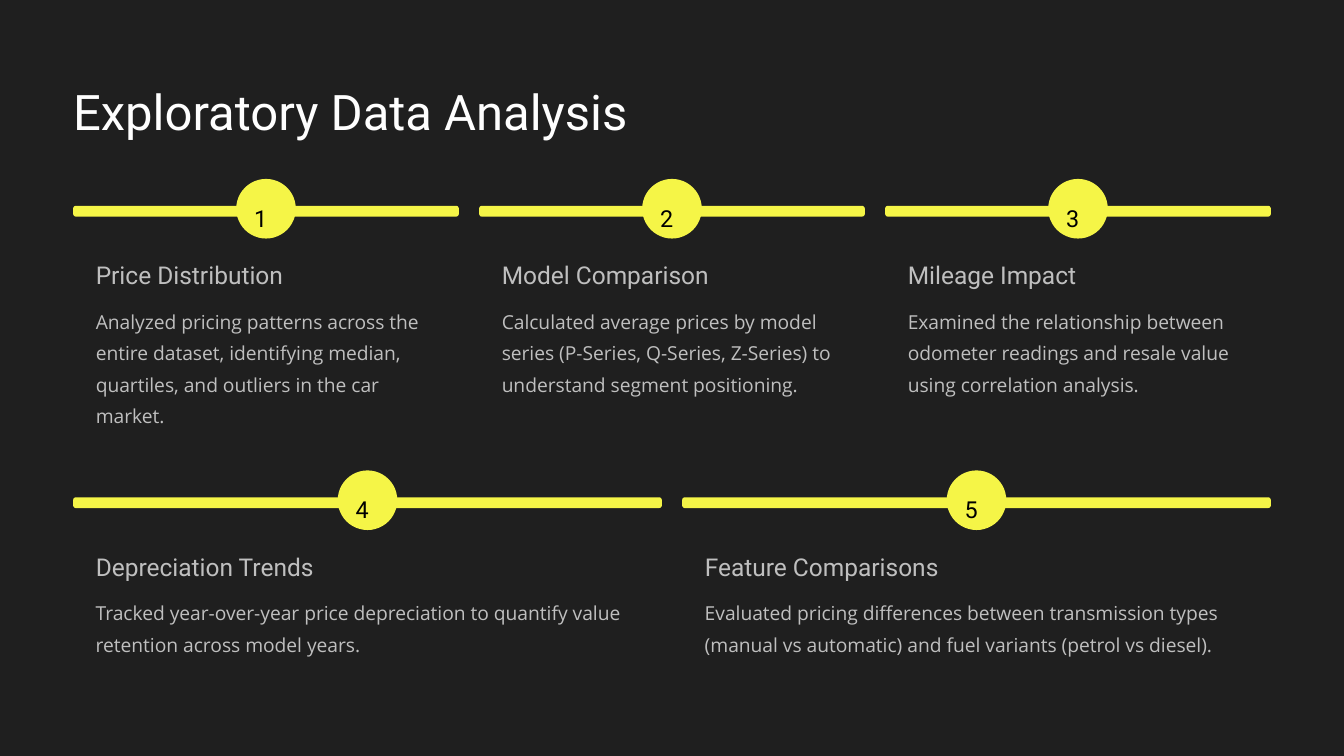
from pptx import Presentation
from pptx.dml.color import RGBColor
from pptx.enum.shapes import MSO_SHAPE
from pptx.enum.text import MSO_ANCHOR, MSO_AUTO_SIZE, PP_ALIGN
from pptx.util import Inches, Pt

OVAL = MSO_SHAPE.OVAL
ROUNDED = MSO_SHAPE.ROUNDED_RECTANGLE
TOP = MSO_ANCHOR.TOP
NO_FIT = MSO_AUTO_SIZE.NONE
LEFT = PP_ALIGN.LEFT

COLORS = {
    "background": "1F1F1F",
    "title": "FEFEFE",
    "accent": "F5F547",
    "number": "000000",
    "text": "BFBFBF",
}
ROW_LEFT, ROW_WIDTH, GAP = 0.87, 14.26, 0.24
BAR_HEIGHT, CIRCLE, INDENT = 0.13, 0.71, 0.27
NUMBER_WIDTH = 0.28
ROWS = [
    (2.45, [
        ("Price Distribution",
         "Analyzed pricing patterns across the entire dataset, identifying "
         "median, quartiles, and outliers in the car market."),
        ("Model Comparison",
         "Calculated average prices by model series (P-Series, Q-Series, "
         "Z-Series) to understand segment positioning."),
        ("Mileage Impact",
         "Examined the relationship between odometer readings and resale "
         "value using correlation analysis."),
    ]),
    (5.92, [
        ("Depreciation Trends",
         "Tracked year-over-year price depreciation to quantify value "
         "retention across model years."),
        ("Feature Comparisons",
         "Evaluated pricing differences between transmission types (manual "
         "vs automatic) and fuel variants (petrol vs diesel)."),
    ]),
]


def color(name):
    """Return the named colour."""
    return RGBColor.from_string(COLORS[name])


def write(box, text, size, spacing, font, color_name):
    """Fill a box with one left-aligned paragraph without margins."""
    frame = box.text_frame
    frame.word_wrap = True
    frame.auto_size = NO_FIT
    frame.vertical_anchor = TOP
    frame.margin_left = frame.margin_right = 0
    frame.margin_top = frame.margin_bottom = 0
    para = frame.paragraphs[0]
    para.alignment = LEFT
    para.line_spacing = Pt(spacing)
    span = para.add_run()
    span.text = text
    span.font.size = Pt(size)
    span.font.name = font
    span.font.color.rgb = color(color_name)


def add_title(page, text):
    """Place and format the title placeholder."""
    title = page.shapes.title
    title.left, title.top = Inches(ROW_LEFT), Inches(0.93)
    title.width, title.height = Inches(7), Inches(0.74)
    write(title, text, 42, 53, "Roboto", "title")


def add_text(page, left, top, width, height, *style):
    """Add a text box with the given text and style."""
    box = page.shapes.add_textbox(
        Inches(left), Inches(top), Inches(width), Inches(height))
    write(box, *style)


def add_accent(page, kind, left, top, width, height):
    """Add a plain accent-coloured shape."""
    shape = page.shapes.add_shape(
        kind, Inches(left), Inches(top), Inches(width), Inches(height))
    shape.shadow.inherit = False
    shape.fill.solid()
    shape.fill.fore_color.rgb = color("accent")
    shape.line.fill.background()
    return shape


def add_step(page, left, top, width, number, heading, body):
    """Add a bar with its numbered circle, heading and description."""
    center = left + width / 2
    bar = add_accent(page, ROUNDED, left, top, width, BAR_HEIGHT)
    bar.adjustments[0] = 0.27
    add_accent(page, OVAL, center - CIRCLE / 2, top - 0.32, CIRCLE, CIRCLE)
    add_text(page, center - NUMBER_WIDTH / 2, top - 0.14, NUMBER_WIDTH, 0.35,
             str(number), 20, 32.5, "Roboto", "number")
    add_text(page, left + INDENT, top + 0.63, 2.95, 0.37,
             heading, 21, 26.5, "Roboto", "text")
    add_text(page, left + INDENT, top + 1.14, width - 2 * INDENT, 1.51,
             body, 16.5, 27, "Open Sans", "text")


def main():
    """Build the slide and save the deck."""
    deck = Presentation()
    deck.slide_width, deck.slide_height = Inches(16), Inches(9)
    page = deck.slides.add_slide(deck.slide_layouts[5])
    page.background.fill.solid()
    page.background.fill.fore_color.rgb = color("background")
    add_title(page, "Exploratory Data Analysis")
    number = 0
    for top, steps in ROWS:
        width = (ROW_WIDTH - GAP * (len(steps) - 1)) / len(steps)
        for column, (heading, body) in enumerate(steps):
            number += 1
            left = ROW_LEFT + column * (width + GAP)
            add_step(page, left, top, width, number, heading, body)
    deck.save("out.pptx")


if __name__ == "__main__":
    main()
